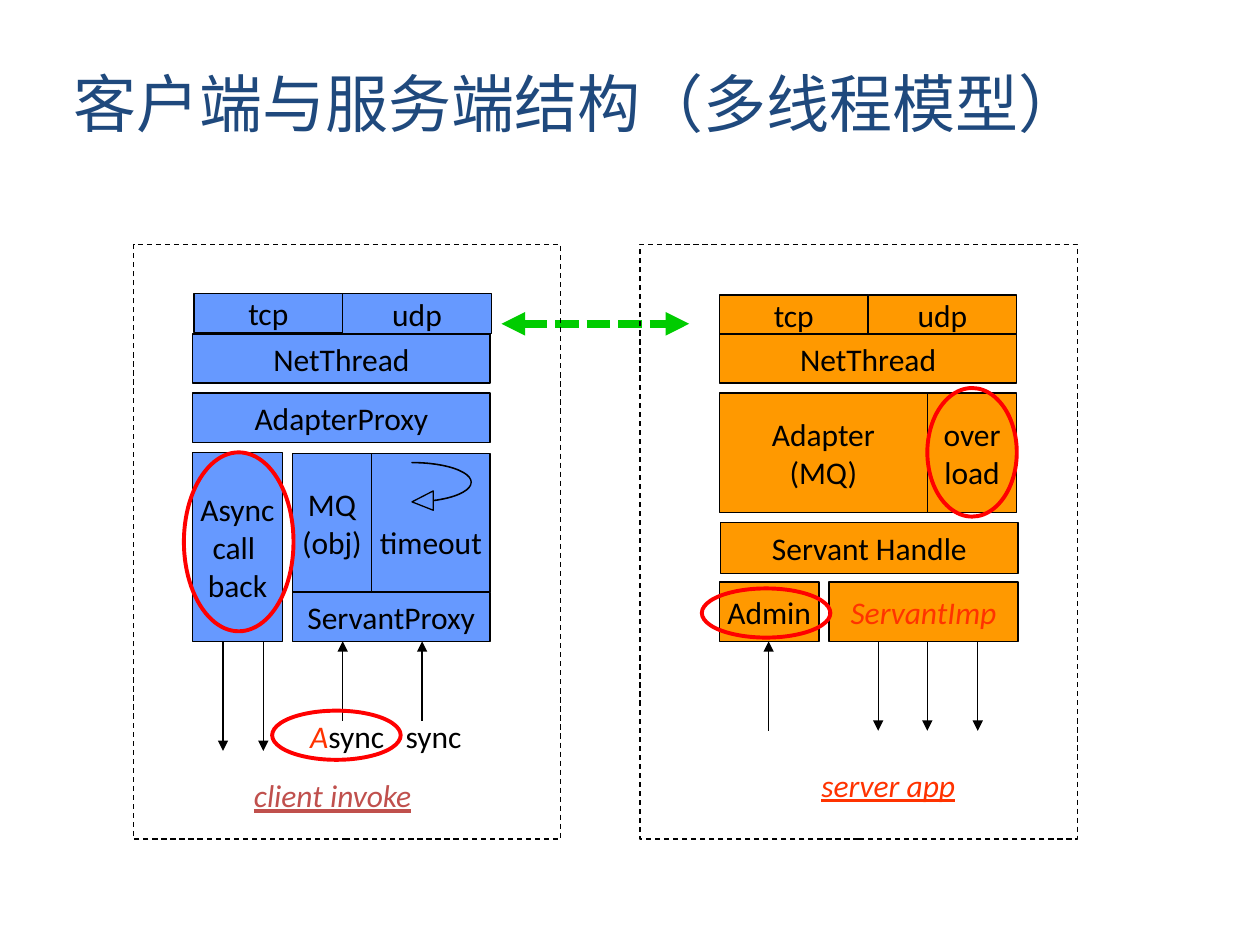
import pptx
import pptx.util
import pptx.dml.color
import pptx.enum.dml
import pptx.enum.shapes
import pptx.enum.text
import pptx.oxml
import pptx.oxml.ns

Inches, Pt = pptx.util.Inches, pptx.util.Pt
RGBColor = pptx.dml.color.RGBColor
SHAPE = pptx.enum.shapes.MSO_SHAPE
DASH = pptx.enum.dml.MSO_LINE
ANCHOR = pptx.enum.text.MSO_ANCHOR
ALIGN = pptx.enum.text.PP_ALIGN

NAVY = RGBColor(0x1F, 0x49, 0x7D)
BLUE = RGBColor(0x66, 0x99, 0xFF)
ORANGE = RGBColor(0xFF, 0x99, 0x00)
BLACK = RGBColor(0, 0, 0)
RED = RGBColor(0xFF, 0, 0)
VERMILION = RGBColor(0xFF, 0x33, 0x00)
BRICK = RGBColor(0xC0, 0x50, 0x4D)
GREEN = RGBColor(0, 0xCC, 0)

TITLE = "客户端与服务端结构（多线程模型）"
ACCENT = {"italic": True, "color": VERMILION}
LINK = {"italic": True, "underline": True}

CLIENT_BOXES = [
    ("ServantProxy", 2.32, 4.7, 1.57, 0.39),
    ("AdapterProxy", 1.53, 3.12, 2.36, 0.39),
    ("MQ\n(obj)", 2.32, 3.6, 0.63, 1.1),
    ("timeout", 2.95, 3.6, 0.94, 1.1, {}, {"margin_top": 0.35}),
    ("NetThread", 1.53, 2.65, 2.36, 0.39),
    ("tcp", 1.54, 2.33, 1.18, 0.31),
    ("udp", 2.72, 2.33, 1.18, 0.32),
    ("Async\ncall \nback", 1.53, 3.59, 0.71, 1.5),
]
SERVER_BOXES = [
    ("tcp", 5.71, 2.34, 1.18, 0.31),
    ("udp", 6.89, 2.34, 1.18, 0.31),
    ("NetThread", 5.71, 2.65, 2.36, 0.39),
    ("Adapter\n(MQ)", 5.71, 3.12, 1.65, 0.95),
    ("Servant Handle", 5.72, 4.15, 2.36, 0.4),
    ("Admin", 5.71, 4.62, 0.79, 0.47),
    ("ServantImp", 6.58, 4.62, 1.5, 0.47, ACCENT),
    ("over\nload", 7.36, 3.12, 0.71, 0.95),
]
LABELS = [
    ([("A", ACCENT), ("sync", {})], 2.4, 5.72, 0.71, 0.24),
    ("sync", 3.03, 5.72, 0.71, 0.24, {}, {"margin_left": 0.21}),
    ("client invoke", 1.93, 6.19, 1.42, 0.24, {**LINK, "color": BRICK}),
    ("server app", 6.34, 6.11, 1.42, 0.24, {**LINK, "color": VERMILION}),
]
BASE = 5.09
CALLS_IN = [(2.72, 5.72), (3.35, 5.72), (6.1, 5.8)]
CALLS_OUT = [(1.77, 5.96), (2.09, 5.96), (6.97, 5.8), (7.36, 5.8), (7.76, 5.8)]
FRAMES = [(1.06, 1.94, 3.39, 4.72), (5.08, 1.94, 3.47, 4.72)]
RINGS = [(2.16, 5.64, 1.02, 0.39), (1.46, 3.59, 0.87, 1.42),
         (5.57, 4.67, 1.02, 0.39), (7.36, 3.08, 0.71, 1.02)]

prs = pptx.Presentation()
prs.slide_width, prs.slide_height = Inches(10), Inches(7.5)
s = prs.slides.add_slide(prs.slide_layouts[5])


def set_line(line, color, width, dash=None):
    line.color.rgb = color
    line.width = Pt(width)
    if dash is not None:
        line.dash_style = dash


def add_shape(kind, x, y, w, h, fill=None, line=None):
    sp = s.shapes.add_shape(kind, *map(Inches, (x, y, w, h)))
    sp.shadow.inherit = False
    if fill is None:
        sp.fill.background()
    else:
        sp.fill.solid()
        sp.fill.fore_color.rgb = fill
    if line:
        set_line(sp.line, *line)
    else:
        sp.line.fill.background()
    return sp


def add_run(p, text, size=18, name="Calibri", color=BLACK, **style):
    r = p.add_run()
    r.text = text
    r.font.color.rgb = color
    for key, value in {"size": Pt(size), "name": name, **style}.items():
        setattr(r.font, key, value)


def add_text(sp, text, style, insets):
    tf = sp.text_frame
    tf.word_wrap = False
    tf.vertical_anchor = ANCHOR.MIDDLE
    for key, value in insets.items():
        setattr(tf, key, Inches(value))
    lines = [[(t, style)] for t in text.split("\n")] if isinstance(text, str) else [text]
    for i, runs in enumerate(lines):
        p = tf.add_paragraph() if i else tf.paragraphs[0]
        p.alignment = ALIGN.CENTER
        for t, fmt in runs:
            add_run(p, t, **fmt)


def add_boxes(boxes, kind, fill=None, line=None):
    for text, x, y, w, h, *extra in boxes:
        style, insets = (extra + [{}, {}])[:2]
        add_text(add_shape(kind, x, y, w, h, fill, line), text, style, insets)


def add_arrow(x1, y1, x2, y2, color=BLACK, width=0.75, dash=None, ends=("tailEnd",)):
    c = s.shapes.add_connector(pptx.enum.shapes.MSO_CONNECTOR.STRAIGHT,
                               *map(Inches, (x1, y1, x2, y2)))
    set_line(c.line, color, width, dash)
    ln = c.line._get_or_add_ln()
    for end in ends:
        ln.append(pptx.oxml.parse_xml(
            f'<a:{end} {pptx.oxml.ns.nsdecls("a")} type="triangle"/>'))
    c._element.spPr.append(pptx.oxml.parse_xml(
        f'<a:effectLst {pptx.oxml.ns.nsdecls("a")}/>'))


title = s.shapes.title
title.left, title.top, title.width, title.height = map(Inches, (0.48, 0.11, 9.02, 1.05))
title.text_frame.vertical_anchor = ANCHOR.BOTTOM
p = title.text_frame.paragraphs[0]
p.alignment = ALIGN.LEFT
add_run(p, TITLE, size=36, name="Times New Roman", color=NAVY)

THIN = (BLACK, 0.75)
add_boxes(CLIENT_BOXES, SHAPE.RECTANGLE, BLUE, THIN)
loop = add_shape(SHAPE.CURVED_LEFT_ARROW, 3.27, 3.67, 0.47, 0.39, BLUE, THIN)
for i, value in enumerate((0.006, 0.394, 0.433)):
    loop.adjustments[i] = value
add_boxes(SERVER_BOXES, SHAPE.RECTANGLE, ORANGE, THIN)
add_boxes(LABELS, SHAPE.FLOWCHART_PROCESS)

for x, y in CALLS_IN:
    add_arrow(x, y, x, BASE)
for x, y in CALLS_OUT:
    add_arrow(x, BASE, x, y)
add_arrow(3.98, 2.57, 5.47, 2.57, GREEN, 4.5, DASH.SQUARE_DOT, ("headEnd", "tailEnd"))

for frame in FRAMES:
    add_shape(SHAPE.RECTANGLE, *frame, line=(BLACK, 0.75, DASH.DASH))
for ring in RINGS:
    add_shape(SHAPE.OVAL, *ring, line=(RED, 2.25))

prs.save("out.pptx")
